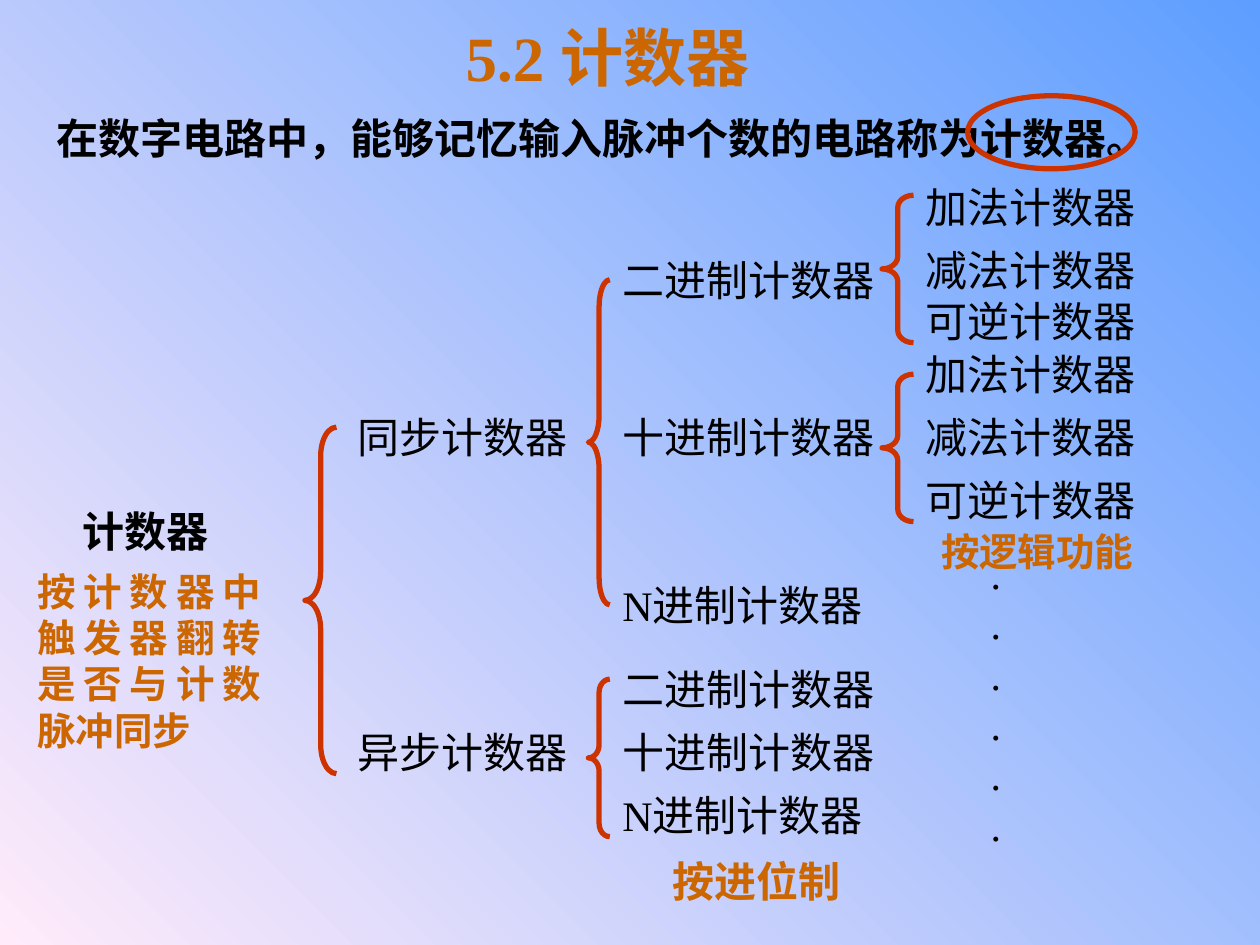
import pptx
import pptx.util
import pptx.dml.color
import pptx.enum.shapes
import pptx.enum.text

ALIGN = pptx.enum.text.PP_ALIGN
SHAPE = pptx.enum.shapes.MSO_SHAPE
INK, RED, ORANGE = "000000", "CC3300", "CC6600"
ROMAN, SANS = "Times New Roman", "Noto Sans CJK SC"

# Content: tree columns as (left, width, align, [(top, label)])
BASES = ["二进制计数器", "十进制计数器", "N进制计数器"]
MODES = ["加法计数器", "减法计数器", "可逆计数器"]
TREE = [
    (2.67, 2, ALIGN.CENTER, [(3.22, "同步计数器"), (5.72, "异步计数器")]),
    (4.84, 2.25, ALIGN.LEFT,
     list(zip([1.97, 3.22, 4.55, 5.22, 5.72, 6.22], BASES * 2))),
    (7.25, 2, ALIGN.LEFT,
     list(zip([1.39, 1.89, 2.3, 2.72, 3.22, 3.72], MODES * 2))),
]
# Braces: left, top, width, height
BRACES = [(2.42, 3.39, 0.25, 2.75), (4.67, 2.22, 0.17, 2.58),
          (4.67, 5.39, 0.17, 1.25), (7, 1.55, 0.25, 1.17),
          (7, 2.97, 0.25, 1.17)]
RING = (7.68, 0.76, 1.33, 0.58)
TITLE = ("5.2 计数器", (3.03, 0.21, 3.58, 0.58))
BOLD = {"bold": True}
GOLD = {"bold": True, "color": ORANGE}
# Other texts: wording, place, alignment, font format
NOTES = [
    ("在数字电路中，能够记忆输入脉冲个数的电路称为计数器。",
     (0.35, 0.84, 9.06, 0.5), ALIGN.LEFT, BOLD),
    ("计数器", (0.39, 3.96, 1.53, 0.5), ALIGN.CENTER, BOLD),
    ("······", (7.75, 4.39, 0.33, 2.5), ALIGN.LEFT, {}),
    ("按进位制", (5.24, 6.74, 2.36, 0.5), ALIGN.LEFT, GOLD),
    ("按逻辑功能", (7.37, 4.14, 2.12, 0.47), ALIGN.LEFT,
     {**GOLD, "size": 22}),
    ("按计数器中触发器翻转是否与计数脉冲同步", (0.2, 4.46, 1.97, 1.5),
     ALIGN.JUSTIFY, {**GOLD, "size": 22, "name": SANS}),
]


def paint(hue):
    return pptx.dml.color.RGBColor.from_string(hue)


def spot(place):
    return [pptx.util.Inches(n) for n in place]


def write(box, words, align, form):
    frame = box.text_frame
    frame.word_wrap = True
    frame.auto_size = pptx.enum.text.MSO_AUTO_SIZE.NONE
    frame.vertical_anchor = pptx.enum.text.MSO_ANCHOR.TOP
    para = frame.paragraphs[0]
    para.alignment = align
    run = para.add_run()
    run.text = words
    look = {"name": ROMAN, "size": 24, "bold": False, "color": INK, **form}
    run.font.color.rgb = paint(look.pop("color"))
    look["size"] = pptx.util.Pt(look["size"])
    for key, val in look.items():
        setattr(run.font, key, val)
    return para


def draw(slide, kind, place):
    shape = slide.shapes.add_shape(kind, *spot(place))
    shape.shadow.inherit = False
    shape.fill.background()
    shape.line.color.rgb = paint(RED)
    shape.line.width = pptx.util.Pt(3)
    return shape


def main():
    deck = pptx.Presentation()
    deck.slide_width, deck.slide_height = spot((10, 7.5))
    slide = deck.slides.add_slide(deck.slide_layouts[5])

    # Background
    fill = slide.background.fill
    fill.gradient()
    fill.gradient_angle = 45
    for stop, hue in zip(fill.gradient_stops, ["FFEBFA", "5E9EFF"]):
        stop.color.rgb = paint(hue)

    # Title
    words, place = TITLE
    head = slide.shapes.title
    head.left, head.top, head.width, head.height = spot(place)
    para = write(head, words, ALIGN.CENTER, {**GOLD, "size": 36})
    para.line_spacing = 0.8

    # Tree labels and other texts
    labels = [(words, (left, top, width, 0.5), align, {})
              for left, width, align, rows in TREE for top, words in rows]
    for words, place, align, form in NOTES + labels:
        write(slide.shapes.add_textbox(*spot(place)), words, align, form)

    # Braces, with curls a twelfth of their height, and the ring
    for place in BRACES:
        brace = draw(slide, SHAPE.LEFT_BRACE, place)
        brace.adjustments[0] = place[3] / 12 / place[2]
    draw(slide, SHAPE.OVAL, RING)

    deck.save("out.pptx")


if __name__ == "__main__":
    main()
